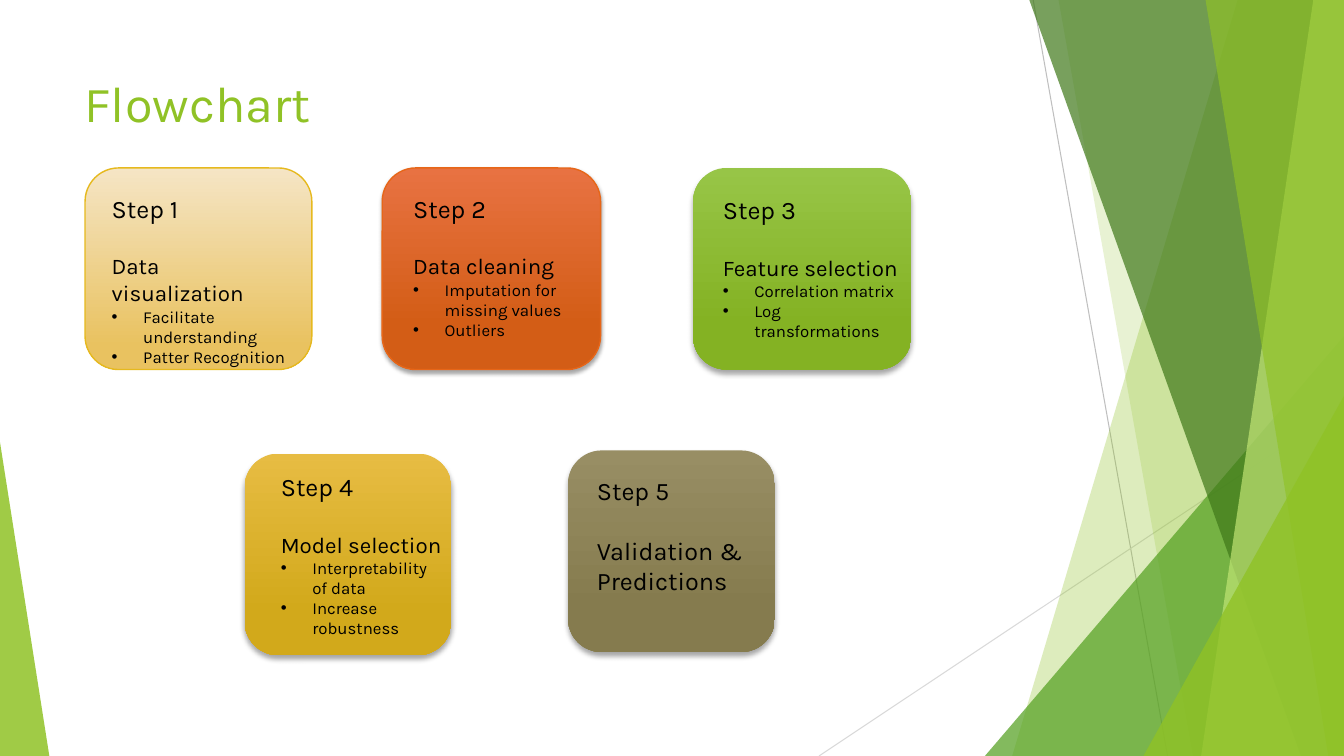
from lxml import etree
from pptx import Presentation
from pptx import util as u
from pptx.dml.color import RGBColor
from pptx.enum import shapes, text
from pptx.oxml import ns

PX = 9525  # 96 px to the inch
WIDTH, HEIGHT = 1280, 720
FONT = "Karla"


def color(value):
    return RGBColor.from_string(value)


def add_paragraph(frame, words, size, ink="000000", **spacing):
    """Fill the first empty paragraph of the frame, or add one."""
    paragraph = frame.paragraphs[0]
    if paragraph.runs:
        paragraph = frame.add_paragraph()
    run = paragraph.add_run()
    run.text = words
    for name, value in {"name": FONT, "size": u.Pt(size)}.items():
        setattr(run.font, name, value)
    run.font.color.rgb = color(ink)
    for name, value in spacing.items():
        setattr(paragraph, name, value)
    return paragraph


presentation = Presentation()
presentation.slide_width = WIDTH * PX
presentation.slide_height = HEIGHT * PX
slide = presentation.slides.add_slide(presentation.slide_layouts[6])

# Thin lines behind the facets
for x1, y1, x2, y2, ink in [
    (984, 0, 1112, HEIGHT, "BFBFBF"),
    (WIDTH, 387, 780, HEIGHT, "D9D9D9"),
]:
    line = slide.shapes.add_connector(
        shapes.MSO_CONNECTOR.STRAIGHT, x1 * PX, y1 * PX, x2 * PX, y2 * PX)
    line.line.color.rgb = color(ink)
    line.line.width = u.Pt(0.75)
    etree.SubElement(line._element.spPr, ns.qn("a:effectLst"))

# Green facets: a full-height band has (top left, bottom left) x positions,
# a triangle has (left, top, width, apex); then fill and opacity in percent
facets = [
    ((1179, 964), "90C226", 30),
    ((1008, 1136), "90C226", 20),
    ((938, 320, 342, 1), "54A021", 72),
    ((980, 1239), "3F7819", 70),
    ((1251, 1144), "C0E474", 70),
    ((1148, 1265), "90C226", 65),
    ((1089, 377, 191, 1), "90C226", 80),
    ((0, 421, 47, 0), "90C226", 85),
]
for outline, ink, opacity in facets:
    if len(outline) == 2:
        top_left, bottom_left = outline
        builder = slide.shapes.build_freeform(top_left, -1, scale=PX)
        builder.add_line_segments(
            [(WIDTH, -1), (WIDTH, HEIGHT), (bottom_left, HEIGHT)], close=True)
        facet = builder.convert_to_shape()
    else:
        left, top, width, apex = outline
        facet = slide.shapes.add_shape(
            shapes.MSO_SHAPE.ISOSCELES_TRIANGLE,
            left * PX, top * PX, width * PX, (HEIGHT - top) * PX)
        facet.adjustments[0] = apex
    facet.shadow.inherit = False
    facet.line.fill.background()
    facet.fill.solid()
    facet.fill.fore_color.rgb = color(ink)
    fill_color = facet._element.spPr.find(".//" + ns.qn("a:srgbClr"))
    etree.SubElement(fill_color, ns.qn("a:alpha"), val=str(opacity * 1000))

# Title
title = slide.shapes.add_textbox(71 * PX, 64 * PX, 902 * PX, 138 * PX)
title.text_frame.word_wrap = True
add_paragraph(title.text_frame, "Flowchart", 36, "90C226")

# Step cards: card box, text box, gradient (two colours, end stop), border,
# shadow (blur, distance in points), heading lines, heading size, bullets
steps = [
    ((81, 160, 216), (97, 179, 193), ("F5E5C5", "E9C260", 0.88), "E6B91E", None,
     ["Data visualization"], 16, ["Facilitate understanding", "Patter Recognition"]),
    ((364, 160, 208), (384, 179, 173), ("E87242", "D35D16", 0.78), "E76618", (3, 2),
     ["Data cleaning"], 16, ["Imputation for missing values", "Outliers"]),
    ((660, 160, 208), (679, 180, 190), ("97C547", "84B223", 0.78), None, (4, 3),
     ["Feature selection"], 16, ["Correlation matrix", "Log transformations"]),
    ((233, 432, 197), (258, 444, 173), ("E7BC43", "D2A91B", 0.78), None, (4, 3),
     ["Model selection"], 16, ["Interpretability of data", "Increase robustness"]),
    ((541, 429, 197), (559, 448, 163), ("988E64", "857B4E", 0.78), None, (4, 3),
     ["Validation &", "Predictions"], 18, []),
]
for number, step in enumerate(steps, start=1):
    card_box, text_box, gradient, border, shadow, headings, size, bullets = step

    # Card
    left, top, width = card_box
    card = slide.shapes.add_shape(
        shapes.MSO_SHAPE.ROUNDED_RECTANGLE,
        left * PX, top * PX, width * PX, 192 * PX)
    card.fill.gradient()
    card.fill.gradient_angle = 270
    first, last = card.fill.gradient_stops
    first.color.rgb, last.color.rgb = color(gradient[0]), color(gradient[1])
    first.position, last.position = 0, gradient[2]
    if border:
        card.line.color.rgb = color(border)
        card.line.width = u.Pt(1)
    else:
        card.line.fill.background()

    # Soft shadow straight below the card
    card.shadow.inherit = False
    if shadow:
        blur, distance = shadow
        effects = card._element.spPr.find(ns.qn("a:effectLst"))
        outer = etree.SubElement(
            effects, ns.qn("a:outerShdw"), blurRad=str(u.Pt(blur)),
            dist=str(u.Pt(distance)), dir="5400000", rotWithShape="0")
        black = etree.SubElement(outer, ns.qn("a:srgbClr"), val="000000")
        etree.SubElement(black, ns.qn("a:alpha"), val="35000")

    # Text over the card
    left, top, width = text_box
    label = slide.shapes.add_textbox(left * PX, top * PX, width * PX, 160 * PX)
    frame = label.text_frame
    for name, value in {"word_wrap": True,
                        "vertical_anchor": text.MSO_ANCHOR.TOP}.items():
        setattr(frame, name, value)
    add_paragraph(frame, f"Step {number}", 18, space_after=u.Pt(21))
    for heading in headings:
        add_paragraph(frame, heading, size)
    for bullet in bullets:
        properties = add_paragraph(frame, bullet, 12)._p.get_or_add_pPr()
        properties.set("marL", str(30 * PX))
        properties.set("indent", str(-30 * PX))
        etree.SubElement(properties, ns.qn("a:buFont"), typeface="Arial")
        etree.SubElement(properties, ns.qn("a:buChar"), char="•")

presentation.save("out.pptx")
